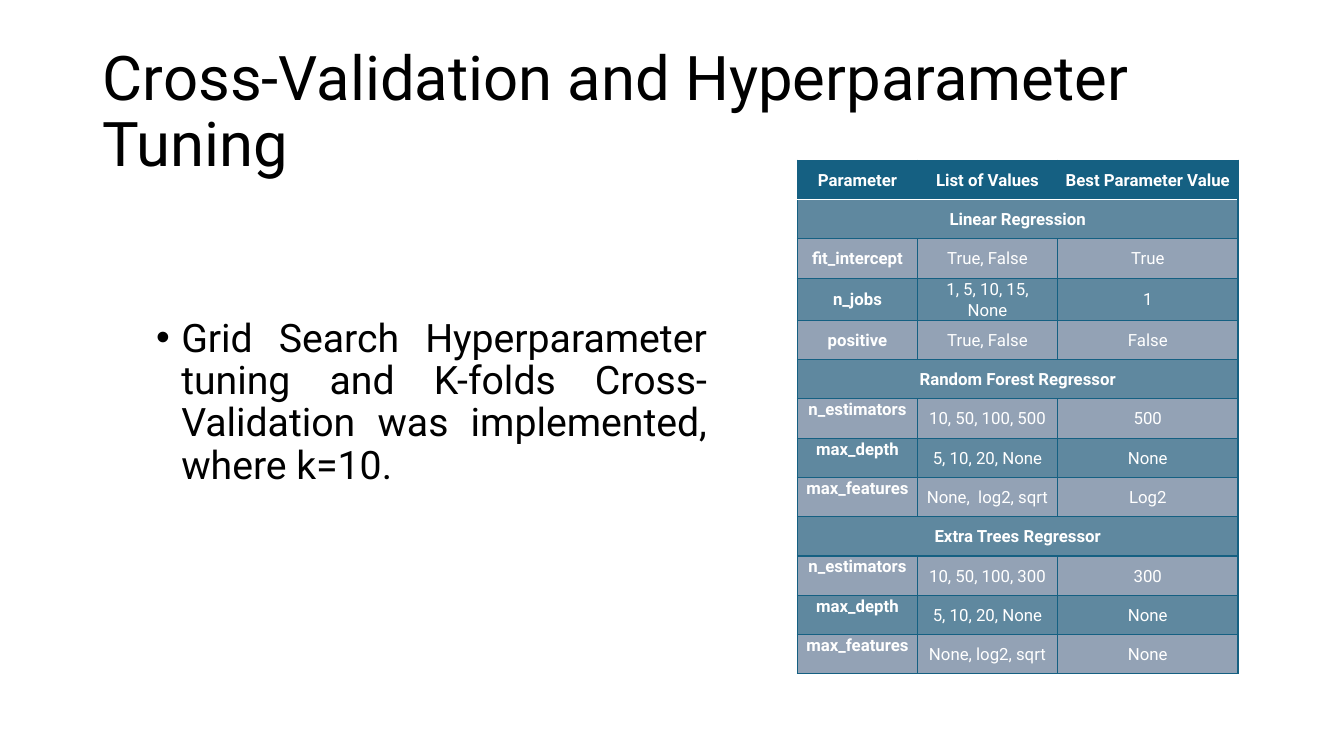
from dataclasses import dataclass

from lxml import etree
from pptx import Presentation
from pptx import util as u
from pptx.dml.color import RGBColor
from pptx.enum import text
from pptx.oxml import ns


@dataclass(frozen=True)
class Theme:
    font: str = "Roboto"
    ink: str = "000000"
    paper: str = "FFFFFF"
    teal: str = "156082"
    dark_band: str = "5F889F"
    light_band: str = "93A2B5"
    title_size: int = 44
    body_size: int = 28
    table_size: int = 12


@dataclass(frozen=True)
class Parameter:
    name: str
    values: str
    best: str


@dataclass(frozen=True)
class Model:
    name: str
    parameters: tuple[Parameter, ...]
    name_anchor: text.MSO_ANCHOR = text.MSO_ANCHOR.TOP


THEME = Theme()
HEADINGS = ("Parameter", "List of Values", "Best Parameter Value")
COLUMN_WIDTHS = (1.19, 1.39, 1.79)
ROW_HEIGHT = 0.39
MODELS = (
    Model("Linear Regression", (
        Parameter("fit_intercept", "True, False", "True"),
        Parameter("n_jobs", "1, 5, 10, 15, None", "1"),
        Parameter("positive", "True, False", "False"),
    ), text.MSO_ANCHOR.MIDDLE),
    Model("Random Forest Regressor", (
        Parameter("n_estimators", "10, 50, 100, 500", "500"),
        Parameter("max_depth", "5, 10, 20, None", "None"),
        Parameter("max_features", "None,  log2, sqrt", "Log2"),
    )),
    Model("Extra Trees Regressor", (
        Parameter("n_estimators", "10, 50, 100, 300", "300"),
        Parameter("max_depth", "5, 10, 20, None", "None"),
        Parameter("max_features", "None, log2, sqrt", "None"),
    )),
)


def apply(target, **values) -> None:
    for name, value in values.items():
        setattr(target, name, value)


def write(paragraph, words: str, size: int, color: str, bold: bool = False, **layout) -> None:
    apply(paragraph, **layout)
    run = paragraph.add_run()
    run.text = words
    apply(run.font, name=THEME.font, size=u.Pt(size), bold=bold)
    run.font.color.rgb = RGBColor.from_string(color)


def set_borders(cell, **edges: tuple[str, float]) -> None:
    properties = cell._tc.get_or_add_tcPr()
    for position, edge in enumerate("LRTB"):
        color, width = edges.get(edge, (THEME.teal, 1))
        line = etree.Element(ns.qn(f"a:ln{edge}"), w=str(u.Pt(width)))
        fill = etree.SubElement(line, ns.qn("a:solidFill"))
        etree.SubElement(fill, ns.qn("a:srgbClr"), val=color)
        properties.insert(position, line)


def fill_cell(cell, words: str, color: str, bold: bool,
              anchor: text.MSO_ANCHOR = text.MSO_ANCHOR.MIDDLE,
              **edges: tuple[str, float]) -> None:
    apply(cell, vertical_anchor=anchor, margin_left=u.Inches(0.07),
          margin_right=u.Inches(0.07), margin_top=0, margin_bottom=0)
    cell.fill.solid()
    cell.fill.fore_color.rgb = RGBColor.from_string(color)
    write(cell.text_frame.paragraphs[0], words, THEME.table_size, THEME.paper, bold,
          alignment=text.PP_ALIGN.CENTER, line_spacing=1.07, space_after=u.Pt(8))
    set_borders(cell, **edges)


def band(row: int) -> str:
    return THEME.dark_band if row % 2 else THEME.light_band


def add_title(slide) -> None:
    title = slide.shapes.title
    apply(title, left=u.Inches(0.92), top=u.Inches(0.4),
          width=u.Inches(11.5), height=u.Inches(1.45))
    apply(title.text_frame, vertical_anchor=text.MSO_ANCHOR.MIDDLE, word_wrap=True)
    write(title.text_frame.paragraphs[0], "Cross-Validation and Hyperparameter Tuning",
          THEME.title_size, THEME.ink, alignment=text.PP_ALIGN.LEFT, line_spacing=0.9)


def add_method(slide) -> None:
    method = slide.shapes.add_textbox(u.Inches(1.45), u.Inches(3.11),
                                      u.Inches(5.66), u.Inches(4.76))
    method.text_frame.word_wrap = True
    paragraph = method.text_frame.paragraphs[0]
    properties = paragraph._p.get_or_add_pPr()
    apply_indent = {"marL": u.Inches(0.25), "indent": u.Inches(-0.25)}
    for name, value in apply_indent.items():
        properties.set(name, str(int(value)))
    etree.SubElement(properties, ns.qn("a:buFont"), typeface="Arial")
    etree.SubElement(properties, ns.qn("a:buChar"), char="•")
    write(paragraph, "Grid Search Hyperparameter tuning and K-folds Cross-Validation "
          "was implemented, where k=10.", THEME.body_size, THEME.ink,
          alignment=text.PP_ALIGN.JUSTIFY, line_spacing=0.9)


def add_results(slide) -> None:
    row_count = 1 + sum(1 + len(model.parameters) for model in MODELS)
    results = slide.shapes.add_table(
        row_count, len(HEADINGS), u.Inches(7.91), u.Inches(1.59),
        u.Inches(sum(COLUMN_WIDTHS)), u.Inches(ROW_HEIGHT * row_count)).table
    for column, width in zip(results.columns, COLUMN_WIDTHS):
        column.width = u.Inches(width)
    for table_row in results.rows:
        table_row.height = u.Inches(ROW_HEIGHT)

    for column, heading in enumerate(HEADINGS):
        fill_cell(results.cell(0, column), heading, THEME.teal, True,
                  B=(THEME.paper, 1.5))

    row = 1
    for model in MODELS:
        model_cell = results.cell(row, 0)
        model_cell.merge(results.cell(row, len(HEADINGS) - 1))
        fill_cell(model_cell, model.name, band(row), True, R=(THEME.teal, 1.5))
        for row, parameter in enumerate(model.parameters, row + 1):
            fill_cell(results.cell(row, 0), parameter.name, band(row), True,
                      model.name_anchor, R=(THEME.teal, 1.5))
            fill_cell(results.cell(row, 1), parameter.values, band(row), False,
                      L=(THEME.teal, 1.5))
            fill_cell(results.cell(row, 2), parameter.best, band(row), False)
        row += 1


def main() -> None:
    deck = Presentation()
    apply(deck, slide_width=u.Inches(13.33), slide_height=u.Inches(7.5))
    slide = deck.slides.add_slide(deck.slide_layouts[5])
    add_title(slide)
    add_results(slide)
    add_method(slide)
    deck.save("out.pptx")


if __name__ == "__main__":
    main()
